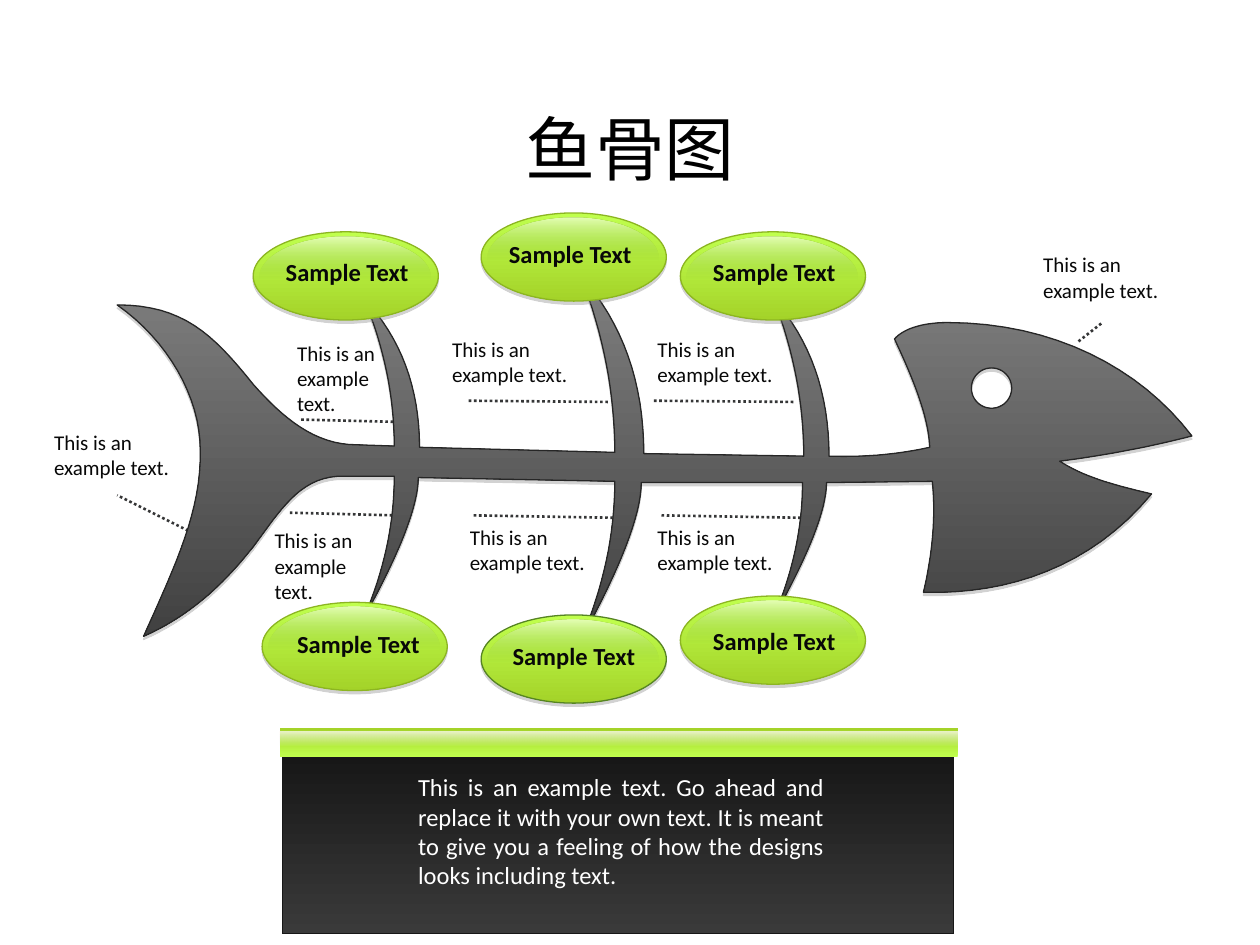
from dataclasses import dataclass
from math import comb, cos, pi, sin

from lxml.etree import SubElement
from pptx import Presentation
from pptx.dml.color import RGBColor
from pptx.enum.dml import MSO_LINE
from pptx.enum.shapes import MSO_CONNECTOR, MSO_SHAPE
from pptx.enum.text import MSO_ANCHOR, MSO_AUTO_SIZE, PP_ALIGN
from pptx.oxml.ns import qn
from pptx.util import Pt

FONT = "Calibri"
NOTE = "This is an example text."
SUMMARY = ("This is an example text. Go ahead and replace it with your own text. "
           "It is meant to give you a feeling of how the designs looks including text.")

# Gradient stops: position, colour, opacity
LIME = [(0, "C0FF4D", 100), (100, "A4D329", 100)]
GLOSS = [(0, "FFFFFF", 59), (52, "70AC2E", 0)]
BAND_GLOSS = [(0, "F3F3F3", 0), (100, "FFFCF9", 79)]
STEEL = [(0, "7F7F7F", 100), (100, "404040", 100)]
COAL = [(0, "3A3A3A", 100), (100, "171717", 100)]

TITLE_FORMAT = {"name": FONT, "size": Pt(40), "color": "000000"}
NOTE_FORMAT = {"name": FONT, "size": Pt(12), "color": "080808"}
HEADING_FORMAT = {"name": FONT, "size": Pt(14), "bold": True, "color": "080808"}
SUMMARY_FORMAT = {"name": FONT, "size": Pt(14), "color": "FFFFFF"}


@dataclass
class Box:
    left: float
    top: float
    width: float
    height: float

    def lengths(self) -> list:
        return [Pt(v) for v in (self.left, self.top, self.width, self.height)]


@dataclass
class Cause:
    left: float
    top: float
    heading_left: float
    heading_top: float
    rim: str = "8CB522"


@dataclass
class Rib:
    """A tapered bone: it leaves the spine between back and front and ends in a tip."""
    back: tuple
    front: tuple
    tip: tuple


# The fish is measured in units of 0.72 pt; finer steps keep its curves smooth.
FISH_UNIT = 0.72
FINE_STEPS = 20
BACK_BEND, UPPER_FRONT_BEND, LOWER_FRONT_BEND = 0.5, 0.6, 0.3
UPPER_RIBS = [Rib((638, 362), (658, 362), (614, 237)),
              Rib((488, 359), (511, 360), (461, 219)),
              Rib((313, 354), (333, 355), (289, 237))]
LOWER_RIBS = [Rib((313, 378), (332, 379), (289, 490)),
              Rib((488, 382), (509, 383), (461, 508)),
              Rib((637, 383), (656, 383), (614, 490))]
EYE_CENTER, EYE_RADIUS = (787, 308), 16

LEADERS = [
    (172.1, 239.8, 232.6, 241.2), (616.3, 195.1, 630, 184.3), (110.2, 304.6, 67, 283),
    (165.6, 293, 226.1, 294.5), (270.7, 294.5, 351.4, 295.9), (378, 294.5, 458.6, 295.9),
    (267.8, 229, 348.5, 229.7), (373.7, 229, 454.3, 229.7)]
WIDE_NOTES = [(23.8, 241.9), (589, 140.4), (368.6, 188.6), (261.4, 295.9), (368.6, 295.9),
              (251.3, 188.6)]
NARROW_NOTES = [(162.7, 190.8), (149.8, 298.1)]
NOTES = ([Box(left, top, 92.2, 36.7) for left, top in WIDE_NOTES]
         + [Box(left, top, 72.4, 51.1) for left, top in NARROW_NOTES])
CAUSES = [
    Cause(144.7, 132.5, 156.2, 143.3), Cause(149.8, 344.2, 162.7, 355.7),
    Cause(275, 121.7, 283.7, 133.2), Cause(388.8, 132.5, 400.3, 143.3),
    Cause(275, 351.4, 285.8, 362.9, "568424"), Cause(388.8, 340.6, 400.3, 354.2)]


def rgb(value: str) -> RGBColor:
    return RGBColor.from_string(value)


def bezier(*controls: tuple, steps: int = 16) -> list:
    """Points along the Bezier curve from the first control to the last."""
    degree = len(controls) - 1

    def blend(t: float, axis: int) -> float:
        return sum(comb(degree, k) * (1 - t) ** (degree - k) * t ** k * point[axis]
                   for k, point in enumerate(controls))

    return [(blend(i / steps, 0), blend(i / steps, 1)) for i in range(steps + 1)]


def rib_edge(base: tuple, tip: tuple, bend: float) -> list:
    """Leave the spine upright, then lean towards the tip."""
    return bezier(base, (base[0], base[1] + bend * (tip[1] - base[1])), tip)


def fish_outline() -> list:
    """Walk from the nose over the back to the tail, and return along the belly."""
    nose, crown, cheek, nape = (946, 346), (752, 256), (710, 269), (738, 355)
    outline = bezier(nose, (905, 292), (836, 256), crown)
    outline += bezier(crown, (730, 256), (716, 262), cheek)
    outline += bezier(cheek, (724, 299), (737, 330), nape)
    outline += bezier(nape, (715, 360), (690, 363), UPPER_RIBS[0].front)
    for rib in UPPER_RIBS:
        outline += rib_edge(rib.front, rib.tip, UPPER_FRONT_BEND)
        outline += reversed(rib_edge(rib.back, rib.tip, BACK_BEND))

    upper_root, upper_waist, upper_fin = (283, 353), (201, 305), (93, 242)
    fork, lower_fin, lower_waist, lower_root = (159, 357), (114, 505), (201, 434), (268, 378)
    outline += bezier(upper_root, (250, 353), (225, 332), upper_waist)
    outline += bezier(upper_waist, (169, 265), (145, 242), upper_fin)
    outline += bezier(upper_fin, (133, 270), (159, 315), fork)
    outline += bezier(fork, (160, 405), (140, 447), lower_fin)
    outline += bezier(lower_fin, (148, 490), (175, 467), lower_waist)
    outline += bezier(lower_waist, (222, 406), (237, 380), lower_root)

    for rib in LOWER_RIBS:
        outline += rib_edge(rib.back, rib.tip, BACK_BEND)
        outline += reversed(rib_edge(rib.front, rib.tip, LOWER_FRONT_BEND))
    throat, chin, jaw, mouth = (740, 382), (733, 470), (914, 392), (841, 366)
    outline += bezier(throat, (743, 410), (740, 440), chin)
    outline += bezier(chin, (800, 472), (866, 450), jaw)
    outline += bezier(jaw, (880, 384), (860, 378), mouth)
    outline += bezier(mouth, (880, 361), (915, 354), nose)
    return outline


def eye_outline(steps: int = 48) -> list:
    angles = [2 * pi * i / steps for i in range(steps)]
    return [(EYE_CENTER[0] + EYE_RADIUS * cos(a), EYE_CENTER[1] + EYE_RADIUS * sin(a))
            for a in angles]


def write(frame, text: str, font_format: dict, align=PP_ALIGN.LEFT) -> None:
    frame.word_wrap = True
    paragraph = frame.paragraphs[0]
    paragraph.alignment = align
    run = paragraph.add_run()
    run.text = text
    for key, value in font_format.items():
        if key == "color":
            run.font.color.rgb = rgb(value)
        else:
            setattr(run.font, key, value)


def add_text(slide, box: Box, text: str, font_format: dict) -> None:
    frame = slide.shapes.add_textbox(*box.lengths()).text_frame
    write(frame, text, font_format)
    frame.auto_size = MSO_AUTO_SIZE.SHAPE_TO_FIT_TEXT


def add_color(parent, value: str, opacity: int) -> None:
    color = SubElement(parent, qn("a:srgbClr"), val=value)
    SubElement(color, qn("a:alpha"), val=str(opacity * 1000))


def style(shape, stops: list, angle: int = 90, rim: str = "", shadow: bool = False) -> None:
    """Give a shape a gradient, an optional outline and an optional drop shadow."""
    shape.fill.gradient()
    gradient = shape._element.spPr.find(qn("a:gradFill"))
    for child in list(gradient):
        gradient.remove(child)
    stop_list = SubElement(gradient, qn("a:gsLst"))
    for position, value, opacity in stops:
        add_color(SubElement(stop_list, qn("a:gs"), pos=str(position * 1000)), value, opacity)
    SubElement(gradient, qn("a:lin"), ang=str(angle * 60000), scaled="0")
    if rim:
        shape.line.color.rgb = rgb(rim)
        shape.line.width = Pt(0.75)
    else:
        shape.line.fill.background()
    shape.shadow.inherit = False
    if shadow:
        effects = shape._element.spPr.find(qn("a:effectLst"))
        drop = SubElement(effects, qn("a:outerShdw"), blurRad="0", dist=str(Pt(1.8)),
                          dir=str(90 * 60000), algn="ctr", rotWithShape="0")
        add_color(drop, "808080", 35)


def add_preset(slide, kind, box: Box, stops: list, **look) -> None:
    style(slide.shapes.add_shape(kind, *box.lengths()), stops, **look)


def add_leader(slide, ends: tuple) -> None:
    leader = slide.shapes.add_connector(MSO_CONNECTOR.STRAIGHT, *[Pt(v) for v in ends])
    leader.line.color.rgb = rgb("353637")
    leader.line.width = Pt(1.5)
    leader.line.dash_style = MSO_LINE.ROUND_DOT
    SubElement(leader._element.spPr, qn("a:effectLst"))


def add_fish(slide) -> None:
    body, eye = ([(x * FINE_STEPS, y * FINE_STEPS) for x, y in outline]
                 for outline in (fish_outline(), eye_outline()))
    builder = slide.shapes.build_freeform(*body[0], scale=Pt(FISH_UNIT) / FINE_STEPS)
    builder.add_line_segments(body[1:], close=True)
    builder.move_to(*eye[0])
    builder.add_line_segments(eye[1:], close=True)
    style(builder.convert_to_shape(), STEEL, rim="262626", shadow=True)


def add_cause(slide, cause: Cause) -> None:
    add_preset(slide, MSO_SHAPE.OVAL, Box(cause.left, cause.top, 105.8, 50.4), LIME,
               rim=cause.rim, shadow=True)
    add_preset(slide, MSO_SHAPE.OVAL, Box(cause.left + 3.6, cause.top + 2.7, 97.9, 46.8), GLOSS)
    add_text(slide, Box(cause.heading_left, cause.heading_top, 90, 24.5),
             "Sample Text", HEADING_FORMAT)


def add_summary(slide) -> None:
    bar = MSO_SHAPE.RECTANGLE
    add_preset(slide, bar, Box(161.3, 430.6, 383.8, 103), COAL, angle=270, rim="171717")
    for top, height, stops in ((416.2, 16.6, LIME), (418.3, 7.9, BAND_GLOSS)):
        add_preset(slide, bar, Box(159.8, top, 387.4, height), stops, angle=270)
    frame = slide.shapes.add_textbox(*Box(231.8, 434.2, 246.2, 77.8).lengths()).text_frame
    frame.vertical_anchor = MSO_ANCHOR.BOTTOM
    write(frame, SUMMARY, SUMMARY_FORMAT, PP_ALIGN.JUSTIFY)


def main() -> None:
    deck = Presentation()
    deck.slide_width, deck.slide_height = Pt(720), Pt(540)
    slide = deck.slides.add_slide(deck.slide_layouts[5])
    title = slide.shapes.title
    title.left, title.top, title.width, title.height = Box(36, 56.2, 648, 56.2).lengths()
    title.text_frame.vertical_anchor = MSO_ANCHOR.MIDDLE
    write(title.text_frame, "鱼骨图", TITLE_FORMAT, PP_ALIGN.CENTER)
    for ends in LEADERS:
        add_leader(slide, ends)
    for box in NOTES:
        add_text(slide, box, NOTE, NOTE_FORMAT)
    add_fish(slide)
    for cause in CAUSES:
        add_cause(slide, cause)
    add_summary(slide)
    deck.save("out.pptx")


if __name__ == "__main__":
    main()
